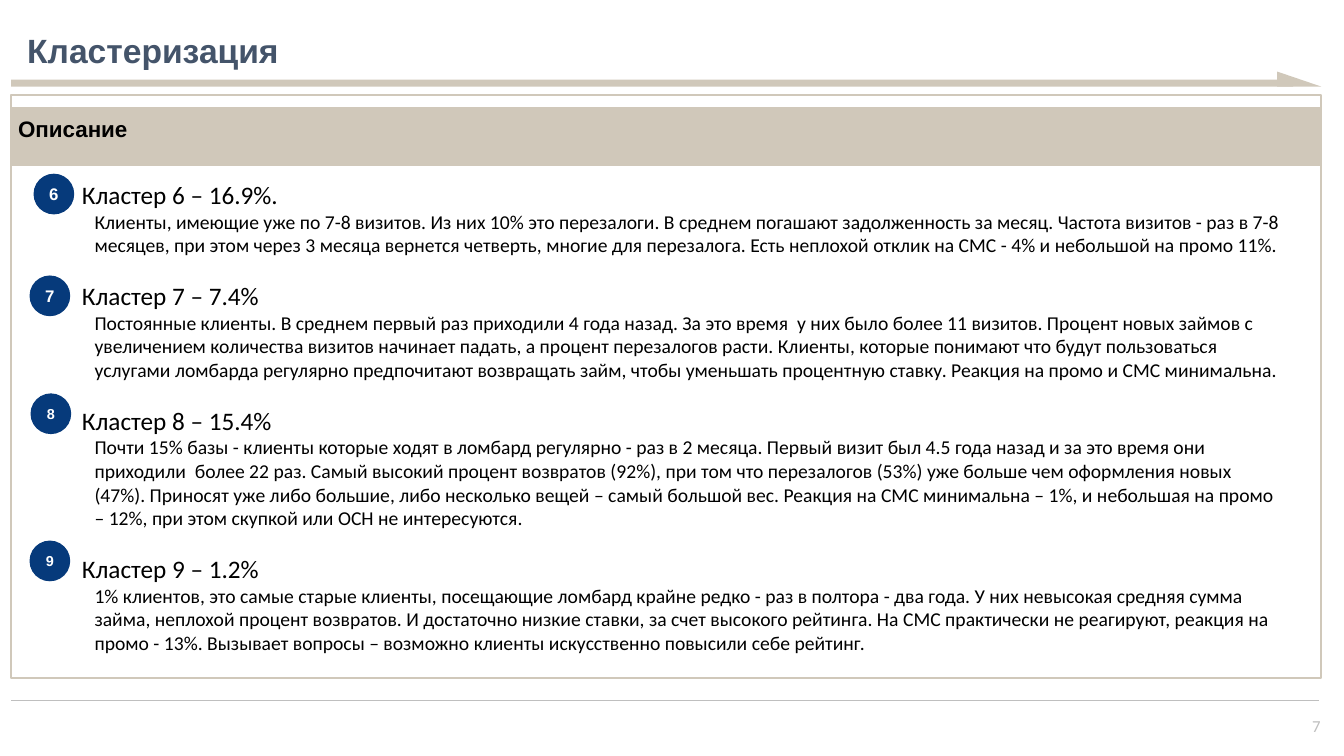
from dataclasses import dataclass

from lxml import etree
from pptx import Presentation, util as u
from pptx.dml.color import RGBColor
from pptx.enum import shapes, text
from pptx.oxml import ns

Kind = shapes.MSO_SHAPE
Side = text.PP_ALIGN
Hold = text.MSO_ANCHOR


@dataclass(frozen=True)
class Theme:
    sand: str = "D0C8BA"
    navy: str = "063A7B"
    slate: str = "44546A"
    gray: str = "BFBFBF"
    black: str = "000000"
    white: str = "FFFFFF"
    head: str = "Arial"
    body: str = "Calibri"
    title: float = 24
    name: float = 18
    band: float = 16
    note: float = 14
    mark: float = 12
    small: float = 10.3
    gap: float = 17


class Page:
    cols, rows = 160, 90

    def __init__(self, deck, theme):
        self.theme = theme
        self.wide, self.high = deck.slide_width, deck.slide_height
        self.slide = deck.slides.add_slide(deck.slide_layouts[5])

    def x(self, n):
        return round(self.wide * n / self.cols)

    def y(self, n):
        return round(self.high * n / self.rows)

    def box(self, left, top, wide, high):
        return self.x(left), self.y(top), self.x(wide), self.y(high)

    def frame(self, item, inset, hold=Hold.TOP, wrap=True):
        frame = item.text_frame
        frame.word_wrap = wrap
        frame.vertical_anchor = hold
        frame.margin_left, frame.margin_top, frame.margin_right, frame.margin_bottom = map(u.Inches, inset)
        return frame

    def run(self, para, words, size, color, font, bold=False):
        run = para.add_run()
        run.text = words
        run.font.name, run.font.size, run.font.bold = font, u.Pt(size), bold
        run.font.color.rgb = RGBColor.from_string(color)

    def title(self, words, *area):
        item = self.slide.shapes.title
        item.left, item.top, item.width, item.height = self.box(*area)
        para = self.frame(item, (0, 0, 0, 0), Hold.BOTTOM).paragraphs[0]
        para.alignment, para.line_spacing = Side.LEFT, 0.9
        self.run(para, words, self.theme.title, self.theme.slate, self.theme.head, True)

    def shape(self, kind, area, fill=None, edge=None, width=1.5):
        item = self.slide.shapes.add_shape(kind, *self.box(*area))
        item.shadow.inherit = False
        for part, color in ((item.fill, fill), (item.line.fill, edge)):
            if color:
                part.solid()
                part.fore_color.rgb = RGBColor.from_string(color)
            else:
                part.background()
        if edge:
            item.line.width = u.Pt(width)
        return item

    def rule(self, left, right, top):
        line = self.slide.shapes.add_connector(
            shapes.MSO_CONNECTOR.STRAIGHT, self.x(left), self.y(top), self.x(right), self.y(top))
        line.line.color.rgb = RGBColor.from_string(self.theme.gray)
        line.line.width = u.Pt(1)
        etree.SubElement(line._element.spPr, ns.qn("a:effectLst"))

    def band(self, words, *area):
        item = self.shape(Kind.RECTANGLE, area, self.theme.sand, self.theme.sand)
        para = self.frame(item, (0.07, 0.07, 0.07, 0)).paragraphs[0]
        para.alignment = Side.LEFT
        self.run(para, words, self.theme.band, self.theme.black, self.theme.head, True)

    def badge(self, mark, left, top, size):
        item = self.shape(Kind.OVAL, (left, top, 4.68, 4.68), self.theme.navy, self.theme.navy, 1)
        para = self.frame(item, (0.09, 0.04, 0.09, 0.04), Hold.MIDDLE, False).paragraphs[0]
        para.alignment = Side.CENTER
        self.run(para, mark, size, self.theme.white, self.theme.head, True)

    def number(self, mark, *area):
        item = self.slide.shapes.add_textbox(*self.box(*area))
        para = self.frame(item, (0.1, 0.05, 0.1, 0.05), Hold.MIDDLE).paragraphs[0]
        para.alignment = Side.RIGHT
        self.run(para, mark, self.theme.mark, self.theme.gray, self.theme.body)

    def notes(self, groups, *area):
        item = self.slide.shapes.add_textbox(*self.box(*area))
        frame = self.frame(item, (0.1, 0.05, 0.1, 0.05))
        for index, (name, note) in enumerate(groups):
            para = frame.add_paragraph() if index else frame.paragraphs[0]
            para.space_before = u.Pt(self.theme.gap if index else 0)
            self.indent(para, 4.5)
            self.run(para, name, self.theme.name, self.theme.black, self.theme.body)
            para = frame.add_paragraph()
            self.indent(para, 6)
            self.run(para, note, self.theme.note, self.theme.black, self.theme.body)

    def indent(self, para, cols):
        para._p.get_or_add_pPr().set("marL", str(self.x(cols)))


GROUPS = [
    ("Кластер 6 – 16.9%.",
     "Клиенты, имеющие уже по 7-8 визитов. Из них 10% это перезалоги. В среднем погашают "
     "задолженность за месяц. Частота визитов - раз в 7-8 месяцев, при этом через 3 месяца "
     "вернется четверть, многие для перезалога. Есть неплохой отклик на СМС - 4% и небольшой "
     "на промо 11%."),
    ("Кластер 7 – 7.4%",
     "Постоянные клиенты. В среднем первый раз приходили 4 года назад. За это время  у них "
     "было более 11 визитов. Процент новых займов с увеличением количества визитов начинает "
     "падать, а процент перезалогов расти. Клиенты, которые понимают что будут пользоваться "
     "услугами ломбарда регулярно предпочитают возвращать займ, чтобы уменьшать процентную "
     "ставку. Реакция на промо и СМС минимальна."),
    ("Кластер 8 – 15.4%",
     "Почти 15% базы - клиенты которые ходят в ломбард регулярно - раз в 2 месяца. Первый "
     "визит был 4.5 года назад и за это время они приходили  более 22 раз. Самый высокий "
     "процент возвратов (92%), при том что перезалогов (53%) уже больше чем оформления новых "
     "(47%). Приносят уже либо большие, либо несколько вещей – самый большой вес. Реакция на "
     "СМС минимальна – 1%, и небольшая на промо – 12%, при этом скупкой или ОСН не "
     "интересуются."),
    ("Кластер 9 – 1.2%",
     "1% клиентов, это самые старые клиенты, посещающие ломбард крайне редко - раз в полтора "
     "- два года. У них невысокая средняя сумма займа, неплохой процент возвратов. И "
     "достаточно низкие ставки, за счет высокого рейтинга. На СМС практически не реагируют, "
     "реакция на промо - 13%. Вызывает вопросы – возможно клиенты искусственно повысили себе "
     "рейтинг."),
]


def main():
    deck = Presentation()
    deck.slide_width, deck.slide_height = u.Inches(13.33), u.Inches(7.5)
    theme = Theme()
    page = Page(deck, theme)
    edge = 1.32

    page.rule(edge, 157, 83.4)
    page.shape(Kind.RECTANGLE, (edge, 11.28, 156, 69.48), edge=theme.sand)
    page.shape(Kind.RECTANGLE, (edge, 9.48, 152.64, 0.84), theme.sand)
    flag = page.shape(Kind.ISOSCELES_TRIANGLE, (152.04, 8.52, 5.28, 1.8), theme.sand)
    flag.adjustments[0] = 0
    page.band("Описание", edge, 12.84, 156, 6.84)
    page.title("Кластеризация", 3.24, 4.08, 153.48, 4.32)
    page.number("7", 152.4, 85.2, 6, 2.4)
    page.notes(GROUPS, 4.08, 20.76, 150, 58.2)
    for mark, left, top, size in (
        ("6", 4.08, 20.76, theme.mark),
        ("7", 3.6, 32.88, theme.mark),
        ("8", 3.72, 46.92, theme.small),
        ("9", 3.6, 64.44, theme.small),
    ):
        page.badge(mark, left, top, size)
    deck.save("out.pptx")


if __name__ == "__main__":
    main()
